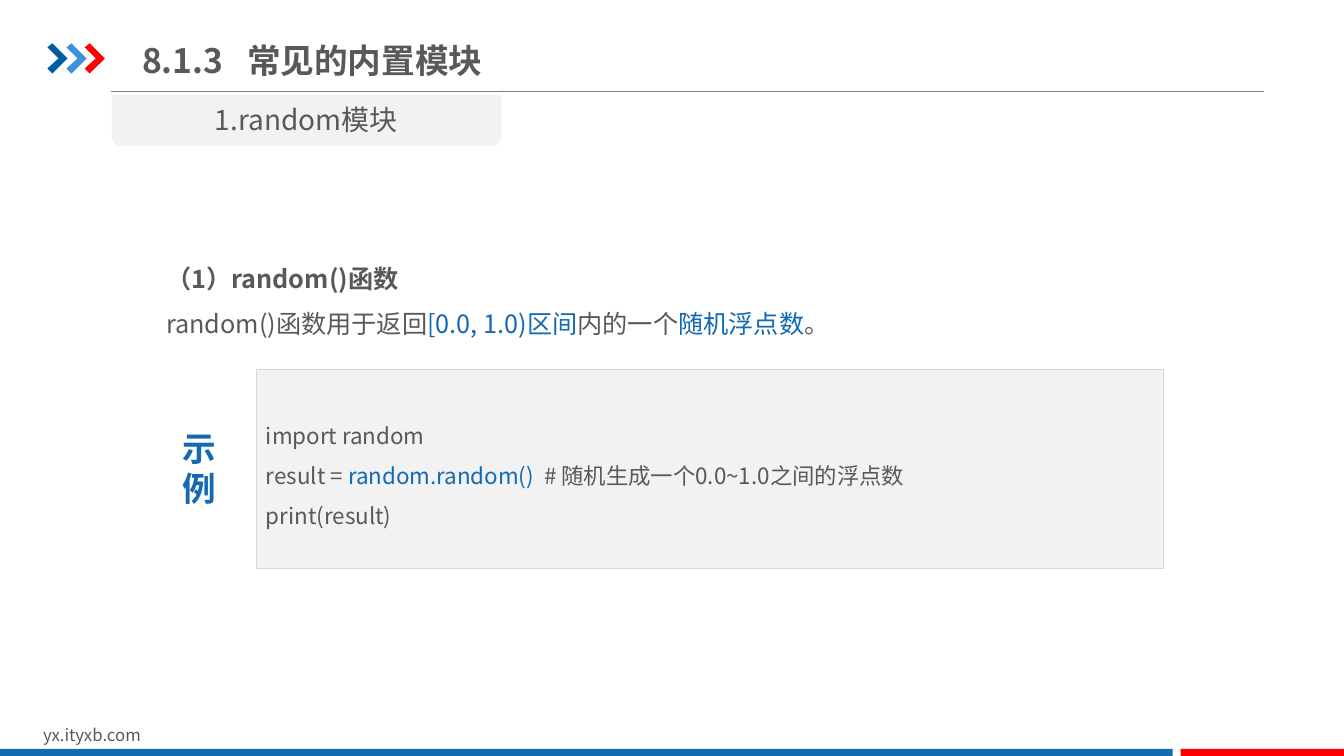
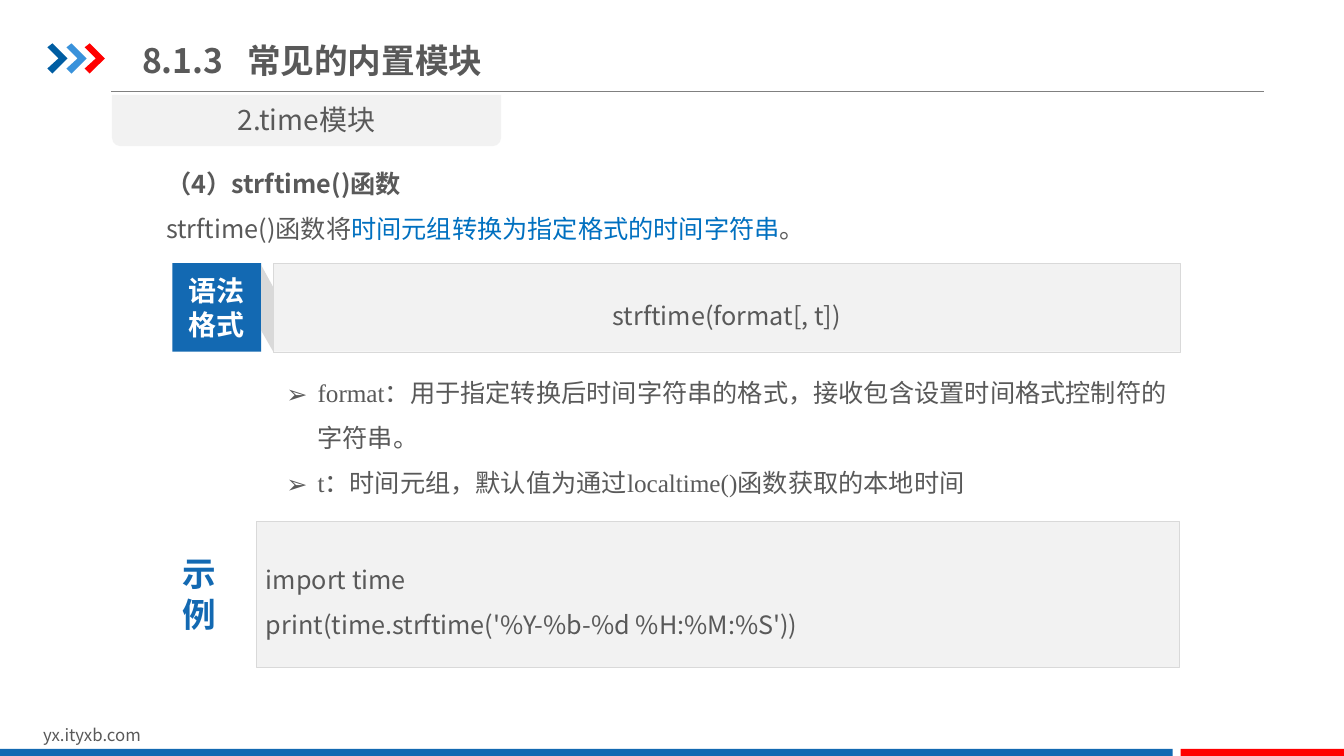
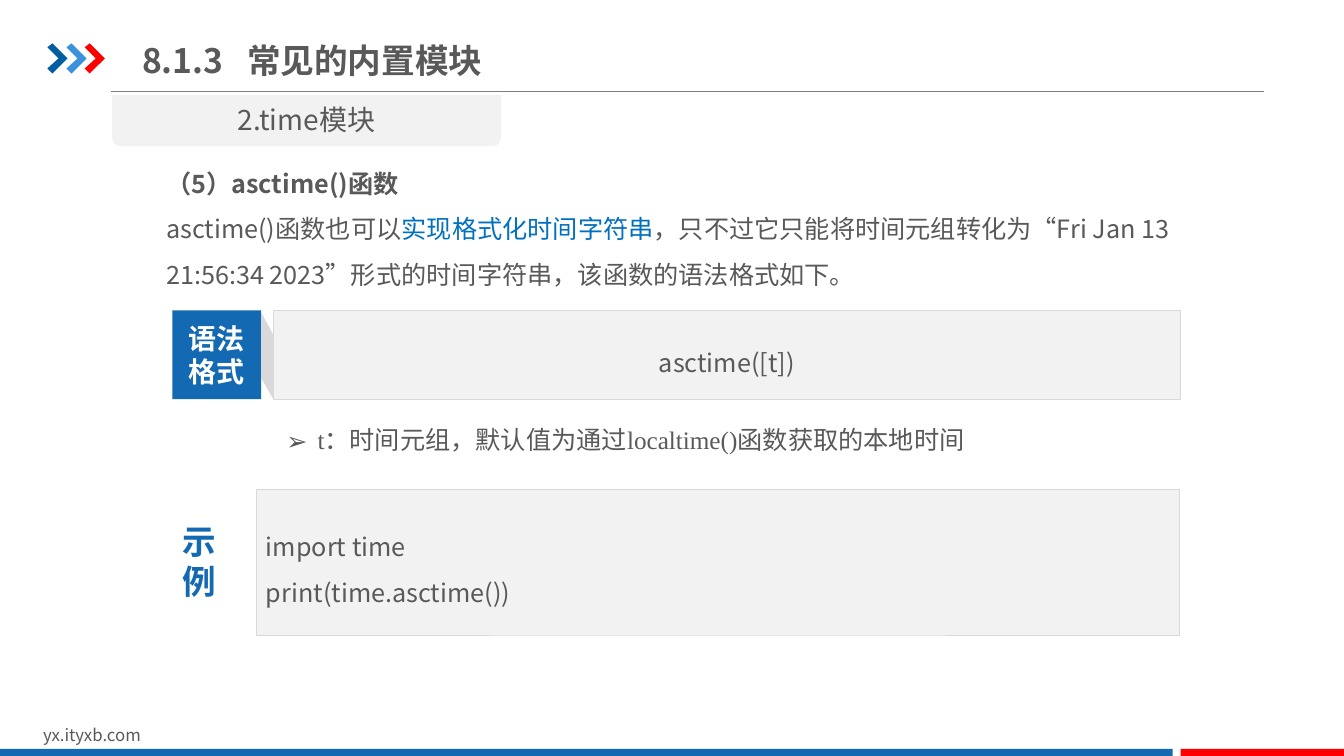
from lxml import etree
from pptx import Presentation
from pptx.dml.color import RGBColor
from pptx.enum.shapes import MSO_CONNECTOR, MSO_SHAPE
from pptx.enum.text import MSO_ANCHOR, PP_ALIGN
from pptx.oxml.ns import qn
from pptx.util import Inches, Pt

WIDTH, HEIGHT = 13.33, 7.5
SANS, SERIF = "Noto Sans CJK SC", "Times New Roman"
BLUE = RGBColor(0x13, 0x69, 0xB2)
SKY = RGBColor(0x00, 0x70, 0xC0)
NAVY = RGBColor(0x00, 0x5D, 0xA2)
LIGHT_BLUE = RGBColor(0x39, 0x92, 0xDB)
RED = RGBColor(0xFF, 0x00, 0x00)
WHITE = RGBColor(0xFF, 0xFF, 0xFF)
TEXT = RGBColor(0x59, 0x59, 0x59)
RULE = RGBColor(0x80, 0x80, 0x80)
PANEL = RGBColor(0xF2, 0xF2, 0xF2)
EDGE = RGBColor(0xD9, 0xD9, 0xD9)
LEFT, CENTER, JUSTIFY = PP_ALIGN.LEFT, PP_ALIGN.CENTER, PP_ALIGN.JUSTIFY
TOP, MIDDLE = MSO_ANCHOR.TOP, MSO_ANCHOR.MIDDLE
RECTANGLE, TAB_SHAPE = MSO_SHAPE.RECTANGLE, MSO_SHAPE.ROUND_2_SAME_RECTANGLE
STRAIGHT = MSO_CONNECTOR.STRAIGHT

TITLE = "8.1.3\t常见的内置模块"
FOOTER = "yx.ityxb.com"
TIME_ARGUMENT = ["t：时间元组，默认值为通过localtime()函数获取的本地时间"]

# A paragraph is a list of spans; a span is a string or (string, colour).
# "intro" and "example" give (left, top, width, height) in inches.
PAGES = [
    {
        "module": "1.random模块",
        "heading": "（1）random()函数",
        "body": ["random()函数用于返回", ("[0.0, 1.0)区间", BLUE), "内的一个",
                 ("随机浮点数", BLUE), "。"],
        "intro": (1.55, 2.41, 10.16, 1.01),
        "code": [["import random"],
                 ["result = ", ("random.random()", BLUE),
                  "  # 随机生成一个0.0~1.0之间的浮点数"],
                 ["print(result)"]],
        "code_size": 16,
        "example": (2.54, 3.66, 9, 1.98),
    },
    {
        "module": "2.time模块",
        "heading": "（4）strftime()函数",
        "body": ["strftime()函数将", ("时间元组转换为指定格式的时间字符串", SKY), "。"],
        "intro": (1.55, 1.47, 10.32, 1.01),
        "syntax": "strftime(format[, t])",
        "syntax_top": 2.61,
        "arguments": [["format：用于指定转换后时间字符串的格式，"
                       "接收包含设置时间格式控制符的字符串。"], TIME_ARGUMENT],
        "code": [["import time"], ["print(time.strftime('%Y-%b-%d %H:%M:%S'))"]],
        "code_size": 18,
        "example": (2.54, 5.17, 9.16, 1.45),
    },
    {
        "module": "2.time模块",
        "heading": "（5）asctime()函数",
        "body": ["asctime()函数也可以", ("实现格式化时间字符串", SKY),
                 "，只不过它只能将时间元组转化为“Fri Jan 13 21:56:34 2023”"
                 "形式的时间字符串，该函数的语法格式如下。"],
        "intro": (1.55, 1.47, 10.32, 1.46),
        "syntax": "asctime([t])",
        "syntax_top": 3.08,
        "arguments": [TIME_ARGUMENT],
        "code": [["import time"], ["print(time.asctime())"]],
        "code_size": 18,
        "example": (2.54, 4.85, 9.16, 1.45),
    },
]


def inches(values):
    return [Inches(value) for value in values]


def write(box, paragraphs, size=18, color=TEXT, bold=(), align=LEFT, spacing=1.0,
          anchor=TOP, font=SANS, bullet=None, wrap=True, margins=(0.1, 0.05)):
    """Fill a shape with paragraphs; bold lists the indexes of bold paragraphs."""
    frame = box.text_frame
    across, down = inches(margins)
    settings = {"word_wrap": wrap, "vertical_anchor": anchor,
                "margin_left": across, "margin_right": across,
                "margin_top": down, "margin_bottom": down}
    for name, value in settings.items():
        setattr(frame, name, value)
    for index, spans in enumerate(paragraphs):
        para = frame.paragraphs[0] if index == 0 else frame.add_paragraph()
        if bullet:
            properties = para._p.get_or_add_pPr()
            properties.set("marL", str(Inches(0.31)))
            properties.set("indent", str(-Inches(0.31)))
            etree.SubElement(properties, qn("a:buFont"), typeface=SANS)
            etree.SubElement(properties, qn("a:buChar"), char=bullet)
        para.alignment, para.line_spacing = align, spacing
        for span in spans:
            text, span_color = (span, color) if isinstance(span, str) else span
            run = para.add_run()
            run.text = text
            formats = {"size": Pt(size), "bold": index in bold, "name": font}
            for name, value in formats.items():
                setattr(run.font, name, value)
            run.font.color.rgb = span_color
            etree.SubElement(run._r.get_or_add_rPr(), qn("a:ea"), typeface=SANS)


def paint(shape, fill, edge=None):
    shape.shadow.inherit = False
    shape.fill.solid()
    shape.fill.fore_color.rgb = fill
    if edge is None:
        shape.line.fill.background()
    else:
        shape.line.color.rgb = edge
        shape.line.width = Pt(0.25)
    return shape


def add_block(page, place, fill, edge=None, kind=RECTANGLE):
    return paint(page.shapes.add_shape(kind, *inches(place)), fill, edge)


def add_text(page, place, paragraphs, **formats):
    write(page.shapes.add_textbox(*inches(place)), paragraphs, **formats)


def add_outline(page, points, fill):
    start, *others = [inches(point) for point in points]
    builder = page.shapes.build_freeform(*start)
    builder.add_line_segments(others, close=True)
    paint(builder.convert_to_shape(), fill)


def add_frame(page, module):
    """Draw the title, chevrons, rule, module tab and footer of every slide."""
    rule = page.shapes.add_connector(STRAIGHT, *inches((1.1, 0.91, 12.54, 0.91)))
    rule.line.color.rgb, rule.line.width = RULE, Pt(0.75)
    etree.SubElement(rule._element.spPr, qn("a:effectLst"))

    chevron = [(0, 0.47), (0.05, 0.43), (0.2, 0.58), (0.05, 0.73),
               (0, 0.68), (0.11, 0.58)]
    for left, color in ((0.47, NAVY), (0.66, LIGHT_BLUE), (0.84, RED)):
        add_outline(page, [(left + x, y) for x, y in chevron], color)

    add_text(page, (0.33, 7.14, 3.18, 0.3), [[FOOTER]], size=12)
    band_top, red_left = 7.43, 11.71
    for left, right, color in ((0, 11.63, BLUE), (red_left, WIDTH, RED)):
        add_block(page, (left, band_top, right - left, HEIGHT - band_top), color)

    title = page.shapes.title
    title.left, title.top, title.width, title.height = inches((1.31, 0.29, 5.41, 0.61))
    properties = title.text_frame.paragraphs[0]._p.get_or_add_pPr()
    tabs = etree.SubElement(properties, qn("a:tabLst"))
    etree.SubElement(tabs, qn("a:tab"), pos=str(Inches(1.04)), algn="l")
    write(title, [[TITLE]], size=24, bold=(0,), anchor=MIDDLE)

    add_block(page, (1.11, 0.94, 3.86, 0.51), PANEL, kind=TAB_SHAPE).rotation = 180
    add_text(page, (1.11, 0.97, 3.86, 0.44), [[module]], size=20, align=CENTER)


def add_syntax(page, top, syntax, arguments):
    """Draw the syntax panel with its folded label and the argument list."""
    left, label_left, side = 2.71, 1.71, 0.88
    panel = add_block(page, (left, top, 9, side), PANEL, EDGE)
    write(panel, [[syntax]], align=CENTER, spacing=1.5, anchor=MIDDLE)
    label = add_block(page, (label_left, top, side, side), BLUE)
    write(label, [["语法"], ["格式"]], size=20, color=WHITE, bold=(0, 1),
          align=CENTER, anchor=MIDDLE, wrap=False)
    fold_left = label_left + side
    add_outline(page, [(left, top + 0.24), (left, top + side),
                       (fold_left, top + 0.67), (fold_left, top + 0.02)], EDGE)
    height = 0.59 if len(arguments) == 1 else 1.5
    add_text(page, (left, top + side + 0.03, 8.99, height), arguments, font=SERIF,
             align=JUSTIFY, spacing=1.5, bullet="➢", margins=(0.13, 0.07))


def add_example(page, place, code, size):
    panel = add_block(page, place, PANEL, EDGE)
    write(panel, code, size=size, spacing=1.5, anchor=MIDDLE)
    label_height = 0.91
    label_top = place[1] + (place[3] - label_height) / 2
    add_text(page, (1.71, label_top, 0.54, label_height), [["示"], ["例"]], size=24,
             color=BLUE, bold=(0, 1), align=CENTER, wrap=False)


def main():
    deck = Presentation()
    deck.slide_width, deck.slide_height = inches((WIDTH, HEIGHT))
    title_only = deck.slide_layouts[5]
    for content in PAGES:
        page = deck.slides.add_slide(title_only)
        add_frame(page, content["module"])
        add_text(page, content["intro"], [[content["heading"]], content["body"]],
                 bold=(0,), spacing=1.5)
        if "syntax" in content:
            add_syntax(page, content["syntax_top"], content["syntax"],
                       content["arguments"])
        add_example(page, content["example"], content["code"], content["code_size"])
    deck.save("out.pptx")


if __name__ == "__main__":
    main()
